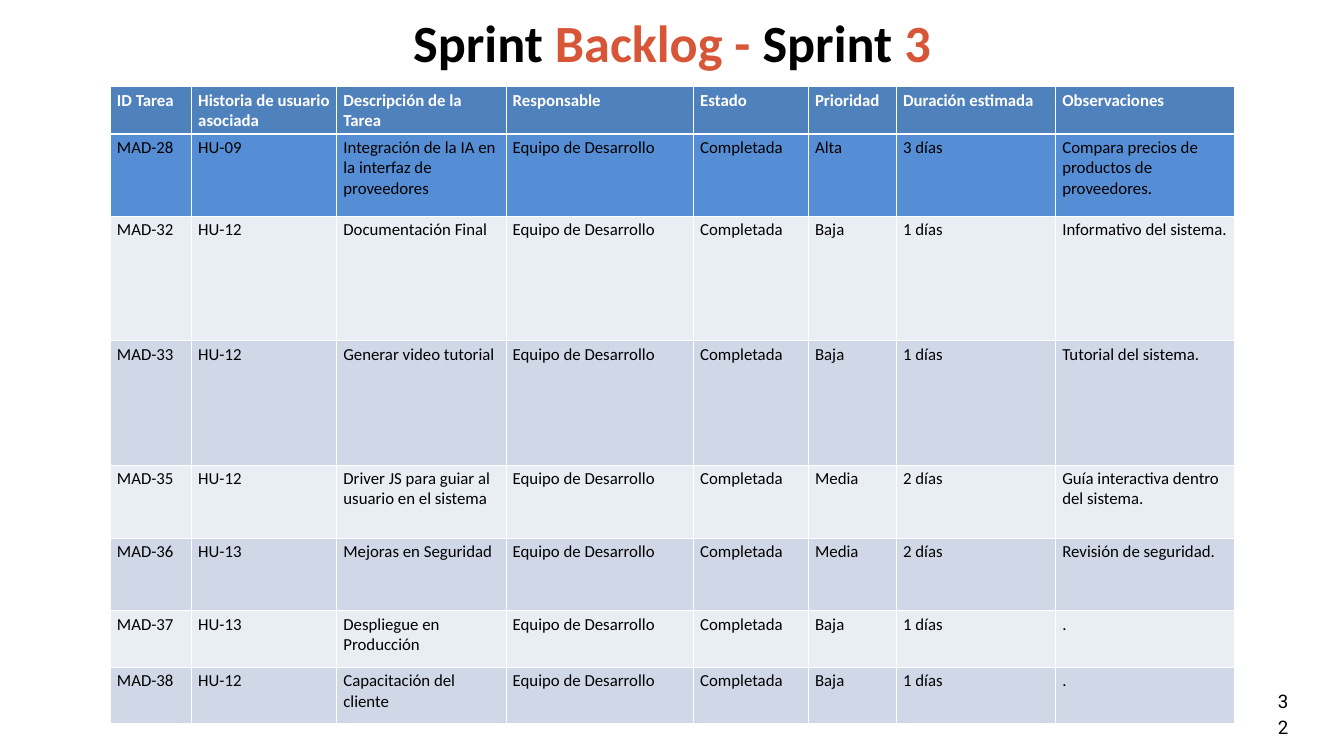
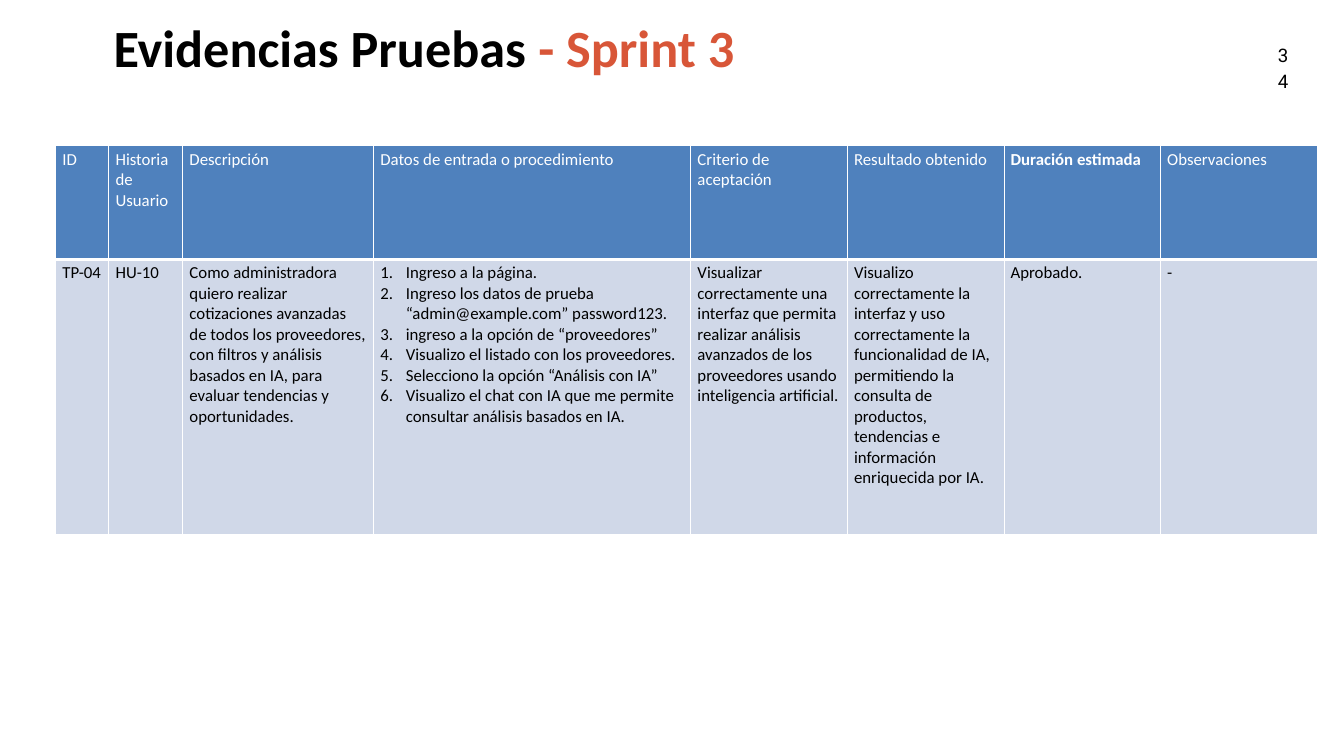
from lxml import etree
from pptx import Presentation
from pptx.dml.color import RGBColor
from pptx.enum.text import MSO_ANCHOR, MSO_AUTO_SIZE, PP_ALIGN
from pptx.oxml.ns import qn
from pptx.util import Inches, Pt

TOP, GROW, CENTER = MSO_ANCHOR.TOP, MSO_AUTO_SIZE.SHAPE_TO_FIT_TEXT, PP_ALIGN.CENTER
COLORS = {"text": "000000", "accent": "D85638", "white": "FFFFFF", "header": "4F81BD",
          "highlight": "558ED5", "light": "E9EDF4", "dark": "D0D8E8"}


def write(tf, paragraphs, size=18, font="Calibri", color="text", bold=False,
          spacing=None, align=None, numbered=False):
    """Fill a text frame; each paragraph is a list of (text, colour or None) runs."""
    for i, runs in enumerate(paragraphs):
        p = tf.paragraphs[0] if i == 0 else tf.add_paragraph()
        if numbered:
            pPr = p._p.get_or_add_pPr()
            pPr.set("marL", str(Inches(0.38)))
            pPr.set("indent", str(-Inches(0.38)))
            etree.SubElement(pPr, qn("a:buFont"), typeface="+mj-lt")
            etree.SubElement(pPr, qn("a:buAutoNum"), type="arabicPeriod")
        if align is not None:
            p.alignment = align
        if spacing:
            p.line_spacing = Pt(spacing)
        for text, run_color in runs:
            r = p.add_run()
            r.text = text
            r.font.size, r.font.name, r.font.bold = Pt(size), font, bold
            r.font.color.rgb = RGBColor.from_string(COLORS[run_color or color])


def set_borders(cell, **widths):
    """Draw white cell borders, with widths in points for L, R, T and B."""
    tcPr = cell._tc.get_or_add_tcPr()
    for side in "LRTB":
        ln = etree.SubElement(tcPr, qn(f"a:ln{side}"), w=str(Pt(widths.get(side, 1))))
        fill = etree.SubElement(ln, qn("a:solidFill"))
        etree.SubElement(fill, qn("a:srgbClr"), val=COLORS["white"])


TEAM, DONE = "Equipo de Desarrollo", "Completada"
# id, story, task, priority, duration, notes
tasks = [
    ("MAD-28", "HU-09", "Integración de la IA en la interfaz de proveedores", "Alta", "3 días",
     "Compara precios de productos de proveedores."),
    ("MAD-32", "HU-12", "Documentación Final", "Baja", "1 días", "Informativo del sistema."),
    ("MAD-33", "HU-12", "Generar video tutorial", "Baja", "1 días", "Tutorial del sistema."),
    ("MAD-35", "HU-12", "Driver JS para guiar al usuario en el sistema", "Media", "2 días",
     "Guía interactiva dentro del sistema."),
    ("MAD-36", "HU-13", "Mejoras en Seguridad", "Media", "2 días", "Revisión de seguridad."),
    ("MAD-37", "HU-13", "Despliegue en Producción", "Baja", "1 días", "."),
    ("MAD-38", "HU-12", "Capacitación del cliente", "Baja", "1 días", "."),
]
backlog = [["ID Tarea", "Historia de usuario asociada", "Descripción de la Tarea", "Responsable",
            "Estado", "Prioridad", "Duración estimada", "Observaciones"]]
backlog += [[*task[:3], TEAM, DONE, *task[3:]] for task in tasks]

tests = [
    ["ID", "Historia de Usuario", "Descripción", "Datos de entrada o procedimiento",
     "Criterio de aceptación", "Resultado obtenido", "Duración estimada", "Observaciones"],
    ["TP-04", "HU-10",
     "Como administradora quiero realizar cotizaciones avanzadas de todos los proveedores, "
     "con filtros y análisis basados en IA, para evaluar tendencias y oportunidades.",
     ["Ingreso a la página.",
      "Ingreso los datos de prueba “admin@example.com” password123.",
      "ingreso a la opción de “proveedores”",
      "Visualizo el listado con los proveedores.",
      "Selecciono la opción “Análisis con IA”",
      "Visualizo el chat con IA que me permite consultar análisis basados en IA."],
     "Visualizar correctamente una interfaz que permita realizar análisis avanzados de los "
     "proveedores usando inteligencia artificial.",
     "Visualizo correctamente la interfaz y uso correctamente la funcionalidad de IA, "
     "permitiendo la consulta de productos, tendencias e información enriquecida por IA.",
     "Aprobado.", "-"],
]

slides = [
    dict(title=[("Sprint ", None), ("Backlog - ", "accent"), ("Sprint", None), (" 3", "accent")],
         title_at=(4.75, 0, 10.5), number="32", number_top=10.21,
         table=backlog, table_at=(1.64, 1.29),
         cols=[1.21, 2.16, 2.52, 2.79, 1.71, 1.31, 2.37, 2.66],
         rows=[0.64, 1.23, 1.85, 1.85, 1.09, 1.08, 0.84, 0.84],
         fills=["header", "highlight"] + ["light", "dark"] * 3,
         bold_headers=backlog[0]),
    dict(title=[("Evidencias Pruebas", None), (" - Sprint 3", "accent")],
         title_at=(0, 0.07, 12.62), number="34", number_top=0.59,
         table=tests, table_at=(0.83, 2.17),
         cols=[0.79, 1.1, 2.84, 4.72] + [2.33] * 4, rows=[1.69, 4.1],
         fills=["header", "dark"], bold_headers=["Duración estimada"]),
]

prs = Presentation()
prs.slide_width, prs.slide_height = Inches(20), Inches(11.25)

for page in slides:
    s = prs.slides.add_slide(prs.slide_layouts[5])

    title = s.shapes.title
    left, top, width = page["title_at"]
    title.left, title.top = Inches(left), Inches(top)
    title.width, title.height = Inches(width), Inches(1.05)
    number = s.shapes.add_textbox(Inches(19.01), Inches(page["number_top"]),
                                  Inches(0.17), Inches(0.22))
    for sp in (title, number):
        tf = sp.text_frame
        tf.margin_left = tf.margin_right = tf.margin_top = tf.margin_bottom = 0
        tf.vertical_anchor, tf.auto_size, tf.word_wrap = TOP, GROW, True
    write(title.text_frame, [page["title"]], size=56, bold=True, spacing=78.4, align=CENTER)
    write(number.text_frame, [[(page["number"], None)]], size=20, font="Roboto",
          spacing=28, align=CENTER)

    cols, rows = page["cols"], page["rows"]
    left, top = page["table_at"]
    table = s.shapes.add_table(len(rows), len(cols), Inches(left), Inches(top),
                               Inches(sum(cols)), Inches(sum(rows))).table
    table.horz_banding = False
    for column, width in zip(table.columns, cols):
        column.width = Inches(width)
    for i, (row, height) in enumerate(zip(table.rows, rows)):
        row.height = Inches(height)
        for cell, content in zip(row.cells, page["table"][i]):
            set_borders(cell, T=3 if i == 1 else 1, B=3 if i == 0 else 1)
            cell.fill.solid()
            cell.fill.fore_color.rgb = RGBColor.from_string(COLORS[page["fills"][i]])
            numbered = isinstance(content, list)
            lines = content if numbered else [content]
            write(cell.text_frame, [[(line, None)] for line in lines], numbered=numbered,
                  color="white" if i == 0 else "text",
                  bold=i == 0 and content in page["bold_headers"])

prs.save("out.pptx")
